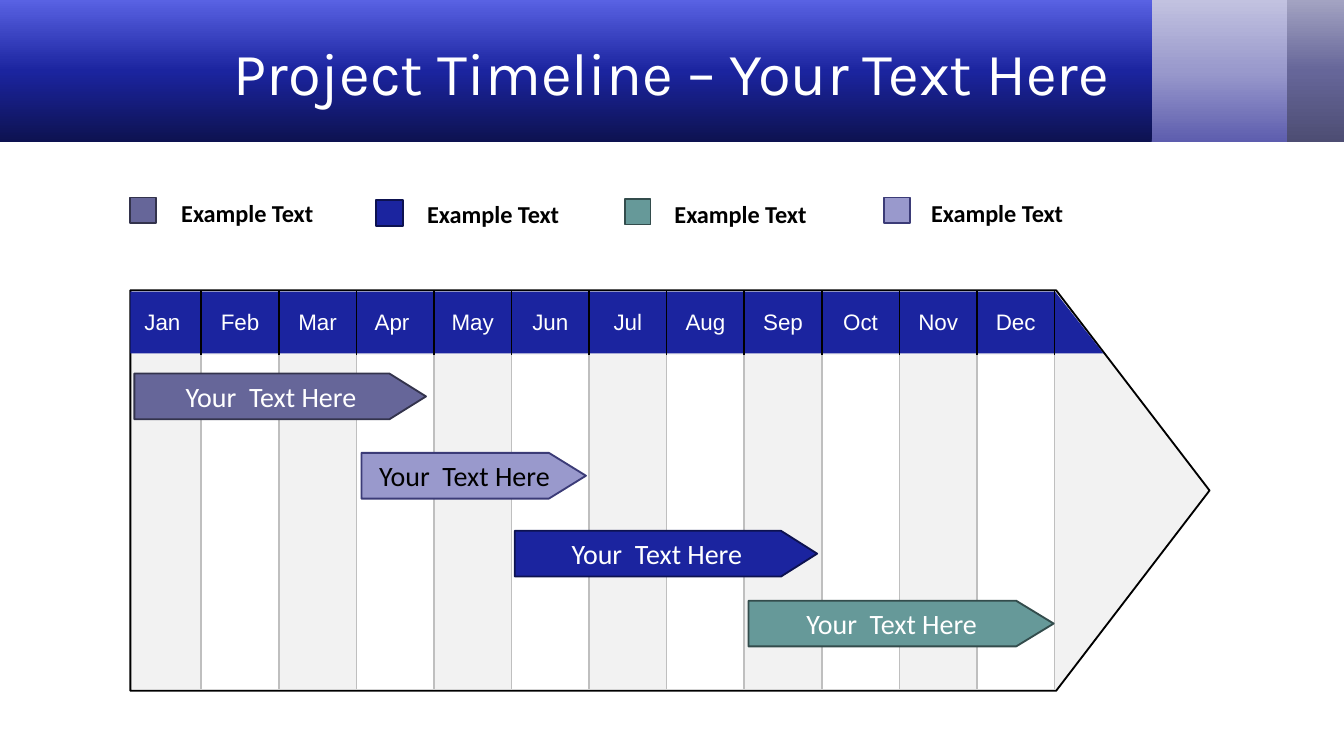
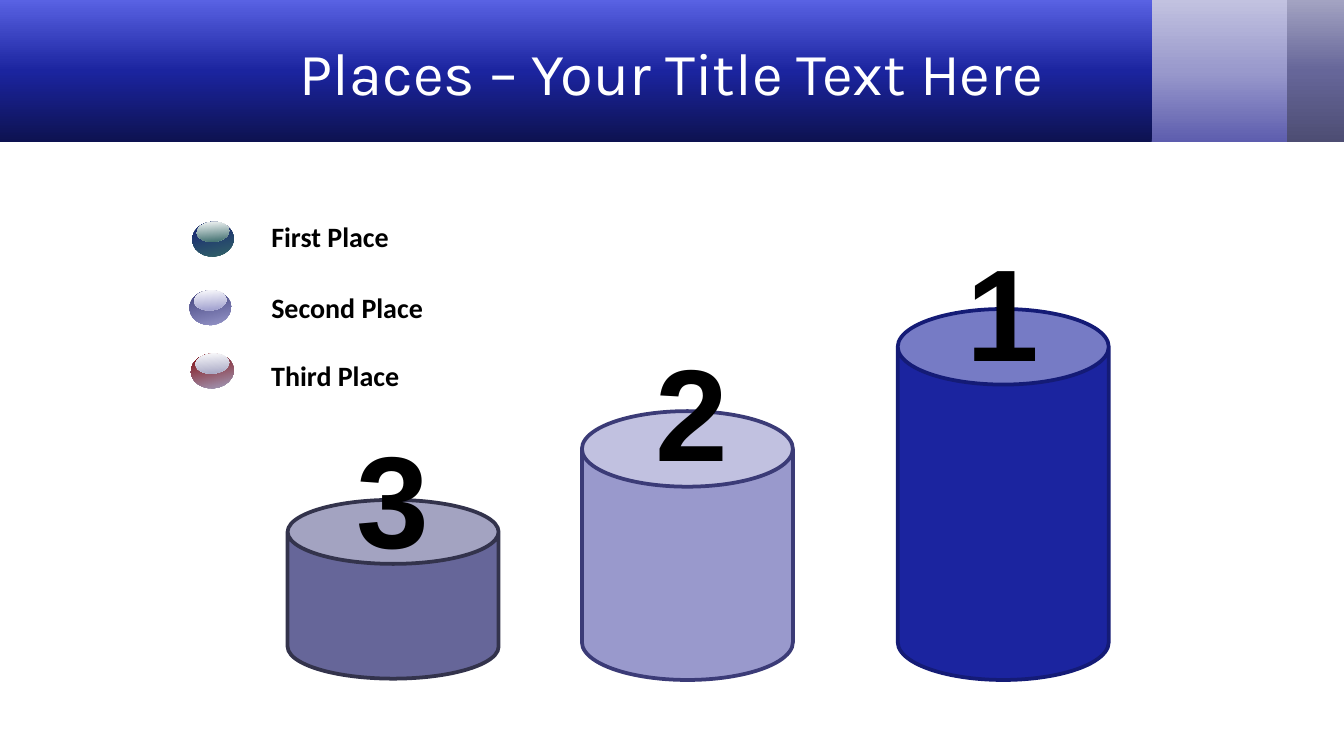
from dataclasses import dataclass
from typing import Any, NamedTuple, Optional

from lxml.etree import SubElement
from pptx import Presentation
from pptx.dml.color import RGBColor
from pptx.enum.shapes import MSO_SHAPE
from pptx.enum.text import MSO_ANCHOR, MSO_AUTO_SIZE, PP_ALIGN
from pptx.oxml.ns import qn
from pptx.util import Inches, Pt

COLUMNS, ROWS = 100, 56.25
UNIT = Inches(10) // COLUMNS


@dataclass(frozen=True)
class Theme:
    white: str = "FFFFFF"
    black: str = "000000"
    panel: str = "F2F2F2"
    rule: str = "BFBFBF"
    slate: str = "666699"
    slate_dark: str = "33334C"
    slate_light: str = "A3A3C2"
    lilac: str = "9999CC"
    lilac_dark: str = "3B3B77"
    blue: str = "1B249F"
    blue_dark: str = "0D1250"
    blue_edge: str = "141B76"
    teal: str = "669999"
    teal_dark: str = "334C4C"
    heading_font: str = "Karla"
    body_font: str = "Calibri"
    grid_font: str = "Arial"
    title_size: int = 32
    month_size: int = 12
    key_size: int = 13
    body_size: int = 15
    rank_size: int = 70


THEME = Theme()


class Box(NamedTuple):
    """A place on the slide, in grid columns and rows."""
    column: float
    row: float
    columns: float
    rows: float

    def lengths(self) -> list[int]:
        return [round(value * UNIT) for value in self]


class Style(NamedTuple):
    font: str
    size: int
    color: str
    bold: bool = False
    align: Optional[PP_ALIGN] = PP_ALIGN.CENTER


class Band(NamedTuple):
    box: Box
    colors: tuple[str, ...]


class Key(NamedTuple):
    swatch: Box
    label: Box
    fill: str
    line: str
    preset: MSO_SHAPE = MSO_SHAPE.RECTANGLE


class Task(NamedTuple):
    box: Box
    point: float
    fill: str
    line: str
    color: str = THEME.white


class Podium(NamedTuple):
    rank: str
    can: Box
    label: Box
    fill: str
    line: str


class Bead(NamedTuple):
    caption: str
    label: Box
    ball: Box
    top: str
    bottom: str


TITLE_STYLE = Style(THEME.heading_font, THEME.title_size, THEME.white)
MONTH_STYLE = Style(THEME.grid_font, THEME.month_size, THEME.white)
RANK_STYLE = Style(THEME.grid_font, THEME.rank_size, THEME.black, True)
KEY_STYLE = Style(THEME.body_font, THEME.key_size, THEME.black, True, None)
BEAD_STYLE = KEY_STYLE._replace(size=THEME.body_size)

LABEL_FRAME = dict(vertical_anchor=MSO_ANCHOR.MIDDLE, margin_top=Inches(0.1))

BANDS = [
    Band(Box(94.3, 0, 5.7, 10.6), ("4D4D73", THEME.slate, THEME.slate_light)),
    Band(Box(85.3, 0, 10.5, 10.6), ("5D5DAE", THEME.lilac, "C2C2E0")),
    Band(Box(0, 0, 85.7, 10.6), (THEME.blue_dark, THEME.blue, "5962E3")),
]

# The trailing space sets "Apr" slightly to the left in its cell.
MONTHS = ["Jan", "Feb", "Mar", "Apr ", "May", "Jun",
          "Jul", "Aug", "Sep", "Oct", "Nov", "Dec"]
CALENDAR = Box(9.2, 21.6, 69.3, 29.7)
HEADER_ROWS = 4.8

KEYS = [
    Key(Box(9.7, 14.7, 1.9, 1.9), Box(12.5, 13.7, 12.5, 3.7),
        THEME.slate, THEME.slate_dark),
    Key(Box(28, 14.9, 2, 1.9), Box(30.8, 13.8, 12.5, 3.7),
        THEME.blue, THEME.blue_dark),
    Key(Box(46.5, 14.8, 1.9, 1.9), Box(49.2, 13.8, 12.5, 3.7),
        THEME.teal, THEME.teal_dark, MSO_SHAPE.PENTAGON),
    Key(Box(65.8, 14.7, 1.9, 1.9), Box(68.3, 13.7, 13.3, 3.7),
        THEME.lilac, THEME.lilac_dark),
]

TASKS = [
    Task(Box(10, 27.8, 21.7, 3.4), 0.8, THEME.slate, THEME.slate_dark),
    Task(Box(26.9, 33.7, 16.7, 3.4), 0.81, THEME.lilac, THEME.lilac_dark,
         THEME.black),
    Task(Box(38.3, 39.5, 22.5, 3.4), 0.79, THEME.blue, THEME.blue_dark),
    Task(Box(55.7, 44.7, 22.7, 3.4), 0.82, THEME.teal, THEME.teal_dark),
]

PODIUMS = [
    Podium("2", Box(43.3, 30.6, 15.7, 20), Box(46, 24.1, 10.9, 12.8),
           THEME.lilac, THEME.lilac_dark),
    Podium("3", Box(21.4, 37.2, 15.7, 13.3), Box(23.8, 30.6, 10.9, 12.8),
           THEME.slate, THEME.slate_dark),
    Podium("1", Box(66.8, 23, 15.7, 27.6), Box(69.2, 16.7, 10.9, 12.8),
           THEME.blue, THEME.blue_edge),
]

BEADS = [
    Bead("First Place", Box(19.2, 15.3, 18.9, 4), Box(14.3, 16.5, 3.1, 2.6),
         "336666", "141B77"),
    Bead("Second Place", Box(19.2, 20.6, 18.9, 4), Box(14.1, 21.6, 3.1, 2.6),
         THEME.lilac, THEME.lilac_dark),
    Bead("Third Place", Box(19.2, 25.7, 14.7, 4), Box(14.2, 26.3, 3.2, 2.6),
         THEME.slate_light, "800000"),
]


def rgb(color: str) -> RGBColor:
    return RGBColor.from_string(color)


def apply(target: Any, values: dict[str, Any]) -> None:
    for name, value in values.items():
        setattr(target, name, value)


def write(frame: Any, text: str, style: Style) -> None:
    para = frame.paragraphs[0]
    para.alignment = style.align
    span = para.add_run()
    span.text = text
    apply(span.font, dict(name=style.font, size=Pt(style.size), bold=style.bold))
    span.font.color.rgb = rgb(style.color)


def add_text(page: Any, box: Box, text: str, style: Style, **frame_values: Any) -> None:
    frame = page.shapes.add_textbox(*box.lengths()).text_frame
    apply(frame, dict(word_wrap=True) | frame_values)
    write(frame, text, style)


def paint(shape: Any, fill: str, line: Optional[str] = None, width: float = 1) -> None:
    shape.shadow.inherit = False
    shape.fill.solid()
    shape.fill.fore_color.rgb = rgb(fill)
    if line is None:
        shape.line.fill.background()
    else:
        shape.line.color.rgb = rgb(line)
        shape.line.width = Pt(width)


def add_preset(shapes: Any, preset: MSO_SHAPE, box: Box, fill: str,
               line: Optional[str] = None, width: float = 1,
               adjust: Optional[float] = None) -> Any:
    shape = shapes.add_shape(preset, *box.lengths())
    paint(shape, fill, line, width)
    if adjust is not None:
        shape.adjustments[0] = adjust
    return shape


def blend(shape: Any, colors: tuple[str, ...], angle: int) -> None:
    """Replace the solid fill by evenly spaced stops; the angle runs clockwise."""
    solid = shape._element.spPr.find(qn("a:solidFill"))
    gradient = solid.makeelement(qn("a:gradFill"), {"rotWithShape": "1"})
    stops = SubElement(gradient, qn("a:gsLst"))
    for index, color in enumerate(colors):
        place = 100000 * index // (len(colors) - 1)
        stop = SubElement(stops, qn("a:gs"), pos=str(place))
        SubElement(stop, qn("a:srgbClr"), val=color)
    SubElement(gradient, qn("a:lin"), ang=str(angle * 60000), scaled="0")
    solid.getparent().replace(solid, gradient)


def set_borders(cell: Any, left: Optional[str], right: Optional[str]) -> None:
    """Draw the side borders of a cell and clear those above and below."""
    properties = cell._tc.get_or_add_tcPr()
    sides = {"a:lnL": left, "a:lnR": right, "a:lnT": None, "a:lnB": None}
    for index, (tag, color) in enumerate(sides.items()):
        border = properties.makeelement(qn(tag), {"w": str(Pt(1))})
        properties.insert(index, border)
        if color is None:
            SubElement(border, qn("a:noFill"))
        else:
            fill = SubElement(border, qn("a:solidFill"))
            SubElement(fill, qn("a:srgbClr"), val=color)


def add_page(deck: Any, title: str) -> Any:
    page = deck.slides.add_slide(deck.slide_layouts[6])
    for band in BANDS:
        blend(add_preset(page.shapes, MSO_SHAPE.RECTANGLE, band.box, band.colors[0]),
              band.colors, 270)
    add_text(page, Box(5, 0.6, 90, 9.4), title, TITLE_STYLE,
             vertical_anchor=MSO_ANCHOR.MIDDLE)
    return page


def add_calendar(page: Any) -> None:
    add_preset(page.shapes, MSO_SHAPE.PENTAGON, Box(9.7, 21.6, 80.3, 29.8),
               THEME.panel, THEME.black, adjust=0.383)
    corners = [(round(column * UNIT), round(row * UNIT)) for column, row in
               [(9.7, 21.7), (78.5, 21.7), (82.1, 26.3), (9.7, 26.3)]]
    outline = page.shapes.build_freeform(*corners[0])
    outline.add_line_segments(corners[1:])
    paint(outline.convert_to_shape(), THEME.blue)

    table = page.shapes.add_table(2, len(MONTHS), *CALENDAR.lengths()).table
    apply(table, dict(first_row=False, horz_banding=False))
    table.rows[0].height = round(HEADER_ROWS * UNIT)
    table.rows[1].height = round((CALENDAR.rows - HEADER_ROWS) * UNIT)
    for index, month in enumerate(MONTHS):
        table.columns[index].width = round(CALENDAR.columns / len(MONTHS) * UNIT)
        for row, color in enumerate([THEME.black, THEME.rule]):
            cell = table.cell(row, index)
            cell.fill.background()
            set_borders(cell, color if index else None, color)
        if index % 2:
            cell.fill.solid()
            cell.fill.fore_color.rgb = rgb(THEME.white)
        header = table.cell(0, index)
        apply(header, dict(vertical_anchor=MSO_ANCHOR.MIDDLE,
                           margin_left=Inches(0.05), margin_right=Inches(0.05)))
        write(header.text_frame, month, MONTH_STYLE)


def add_timeline(deck: Any) -> None:
    page = add_page(deck, "Project Timeline – Your Text Here")
    add_calendar(page)
    for key in KEYS:
        adjust = 0 if key.preset == MSO_SHAPE.PENTAGON else None
        add_preset(page.shapes, key.preset, key.swatch, key.fill, key.line,
                   adjust=adjust)
        add_text(page, key.label, "Example Text", KEY_STYLE, **LABEL_FRAME,
                 auto_size=MSO_AUTO_SIZE.SHAPE_TO_FIT_TEXT)
    for task in TASKS:
        arrow = add_preset(page.shapes, MSO_SHAPE.PENTAGON, task.box, task.fill,
                           task.line, adjust=task.point)
        arrow.text_frame.vertical_anchor = MSO_ANCHOR.MIDDLE
        write(arrow.text_frame, "Your  Text Here",
              Style(THEME.body_font, THEME.body_size, task.color))


def add_bead(page: Any, bead: Bead) -> None:
    """Draw a glossy ball, tilted slightly, with its caption."""
    add_text(page, bead.label, bead.caption, BEAD_STYLE, **LABEL_FRAME,
             auto_size=MSO_AUTO_SIZE.SHAPE_TO_FIT_TEXT)
    ball = bead.ball
    gloss = Box(ball.column + 0.35, ball.row, ball.columns - 0.7, 1.5)
    group = page.shapes.add_group_shape()
    for box, colors, angle in [(ball, (bead.top, bead.bottom), 260),
                               (gloss, (THEME.white, bead.top), 90)]:
        oval = add_preset(group.shapes, MSO_SHAPE.OVAL, box, colors[0])
        oval.rotation = 355.8
        blend(oval, colors, angle)


def add_places(deck: Any) -> None:
    page = add_page(deck, "Places – Your Title Text Here")
    for podium in PODIUMS:
        add_preset(page.shapes, MSO_SHAPE.CAN, podium.can, podium.fill,
                   podium.line, 2, 0.358)
    for podium in PODIUMS:
        add_text(page, podium.label, podium.rank, RANK_STYLE,
                 auto_size=MSO_AUTO_SIZE.SHAPE_TO_FIT_TEXT)
    for bead in BEADS:
        add_bead(page, bead)


def main() -> None:
    deck = Presentation()
    apply(deck, dict(slide_width=COLUMNS * UNIT, slide_height=round(ROWS * UNIT)))
    add_timeline(deck)
    add_places(deck)
    deck.save("out.pptx")


if __name__ == "__main__":
    main()
